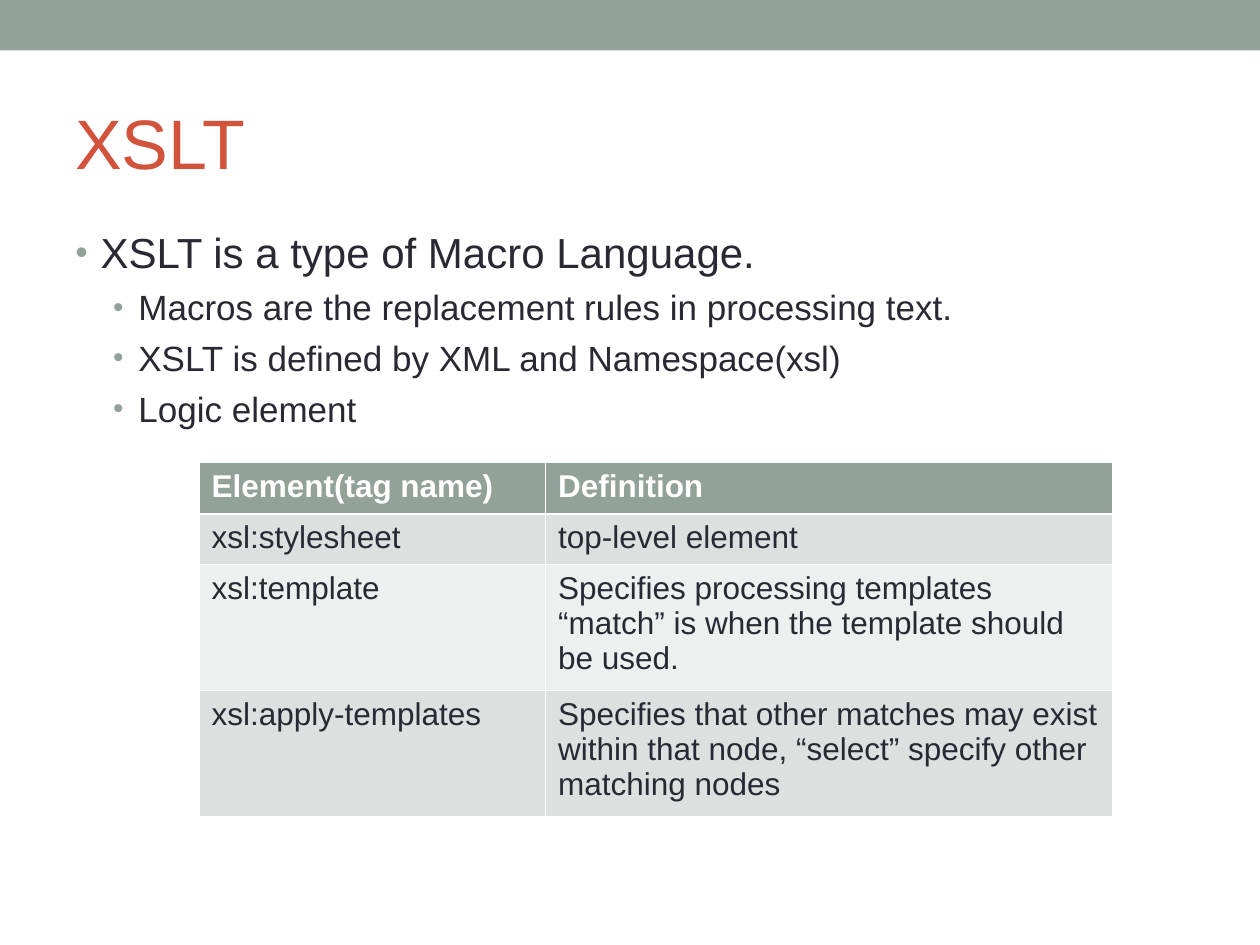
import pptx
import pptx.util
import pptx.dml.color
import pptx.enum.shapes
import pptx.enum.text
import pptx.oxml
import pptx.oxml.ns
from lxml import etree

Inches, Pt = pptx.util.Inches, pptx.util.Pt
RGBColor = pptx.dml.color.RGBColor

SAGE = RGBColor(0x93, 0xA2, 0x99)
RED = RGBColor(0xD2, 0x53, 0x3C)
INK = RGBColor(0x29, 0x29, 0x34)
WHITE = RGBColor(0xFF, 0xFF, 0xFF)
BAND_DARK = RGBColor(0xDC, 0xE0, 0xDE)
BAND_LIGHT = RGBColor(0xEE, 0xF0, 0xEF)

BULLETS = [
    (0, "XSLT is a type of Macro Language."),
    (1, "Macros are the replacement rules in processing text."),
    (1, "XSLT is defined by XML and Namespace(xsl)"),
    (1, "Logic element"),
]
# level: (font size, space before, left margin in inches)
LEVELS = {0: (24, 6, 0.2), 1: (20, 5, 0.5)}
HANG = Inches(0.2)

ROWS = [
    ("Element(tag name)", "Definition"),
    ("xsl:stylesheet", "top-level element"),
    ("xsl:template", "Specifies processing templates\n"
     "“match” is when the template should be used."),
    ("xsl:apply-templates", "Specifies that other matches may exist within "
     "that node, “select” specify other matching nodes"),
]
COL_WIDTHS = [2.75, 4.5]
ROW_HEIGHTS = [0.41, 0.4, 1, 1]


class Deck:
    font = "Arial"

    def __init__(self, width, height):
        self.prs = pptx.Presentation()
        self.prs.slide_width = Inches(width)
        self.prs.slide_height = Inches(height)
        self.s = self.prs.slides.add_slide(self.prs.slide_layouts[6])

    def run(self, p, text, size, color, bold=False):
        for i, line in enumerate(text.split("\n")):
            if i:
                p.add_line_break()
            r = p.add_run()
            r.text = line
            r.font.name = self.font
            r.font.size = Pt(size)
            r.font.bold = bold
            r.font.color.rgb = color

    def bar(self, x, y, w, h, color):
        sp = self.s.shapes.add_shape(
            pptx.enum.shapes.MSO_SHAPE.RECTANGLE,
            Inches(x), Inches(y), Inches(w), Inches(h))
        sp.shadow.inherit = False
        sp.fill.solid()
        sp.fill.fore_color.rgb = color
        sp.line.fill.background()

    def text_frame(self, x, y, w, h):
        sp = self.s.shapes.add_textbox(
            Inches(x), Inches(y), Inches(w), Inches(h))
        sp.text_frame.word_wrap = True
        return sp.text_frame

    def title(self, x, y, w, h, text):
        tf = self.text_frame(x, y, w, h)
        tf.vertical_anchor = pptx.enum.text.MSO_ANCHOR.MIDDLE
        self.run(tf.paragraphs[0], text, 40, RED)

    def bullets(self, x, y, w, h, items):
        tf = self.text_frame(x, y, w, h)
        for i, (level, text) in enumerate(items):
            p = tf.add_paragraph() if i else tf.paragraphs[0]
            size, before, margin = LEVELS[level]
            p.level = level
            p.space_before = Pt(before)
            self.bullet_mark(p, Inches(margin))
            self.run(p, text, size, INK)

    def bullet_mark(self, p, margin):
        qn = pptx.oxml.ns.qn
        pPr = p._p.get_or_add_pPr()
        pPr.set("marL", str(margin))
        pPr.set("indent", str(-HANG))
        clr = etree.SubElement(pPr, qn("a:buClr"))
        etree.SubElement(clr, qn("a:srgbClr"), val=str(SAGE))
        etree.SubElement(pPr, qn("a:buSzPct"), val="85000")
        etree.SubElement(pPr, qn("a:buFont"), typeface=self.font)
        etree.SubElement(pPr, qn("a:buChar"), char="•")

    def table(self, x, y, widths, heights, rows):
        frame = self.s.shapes.add_table(
            len(rows), len(widths), Inches(x), Inches(y),
            Inches(sum(widths)), Inches(sum(heights)))
        table = frame.table
        for col, width in zip(table.columns, widths):
            col.width = Inches(width)
        for i, texts in enumerate(rows):
            table.rows[i].height = Inches(heights[i])
            head = i == 0
            fill = SAGE if head else BAND_DARK if i % 2 else BAND_LIGHT
            for j, text in enumerate(texts):
                cell = table.cell(i, j)
                cell.fill.solid()
                cell.fill.fore_color.rgb = fill
                self.borders(cell, top=1.47 if i == 1 else 0.45,
                             bottom=1.47 if head else 0.45)
                self.run(cell.text_frame.paragraphs[0], text, 18,
                         WHITE if head else INK, head)

    def borders(self, cell, top, bottom):
        qn = pptx.oxml.ns.qn
        tcPr = cell._tc.get_or_add_tcPr()
        sides = [("L", 0.45), ("R", 0.45), ("T", top), ("B", bottom)]
        for i, (side, width) in enumerate(sides):
            ln = etree.Element(qn("a:ln" + side), w=str(Pt(width)))
            fill = etree.SubElement(ln, qn("a:solidFill"))
            etree.SubElement(fill, qn("a:srgbClr"), val=str(WHITE))
            tcPr.insert(i, ln)


def main():
    deck = Deck(10, 7.5)
    # Top band and title
    deck.bar(0, 0, 10, 0.4, SAGE)
    deck.title(0.5, 0.58, 9, 1.08, "XSLT")
    # Bullet list
    deck.bullets(0.5, 1.75, 9, 5.33, BULLETS)
    # Element definitions
    deck.table(1.58, 3.67, COL_WIDTHS, ROW_HEIGHTS, ROWS)
    deck.prs.save("out.pptx")


if __name__ == "__main__":
    main()
